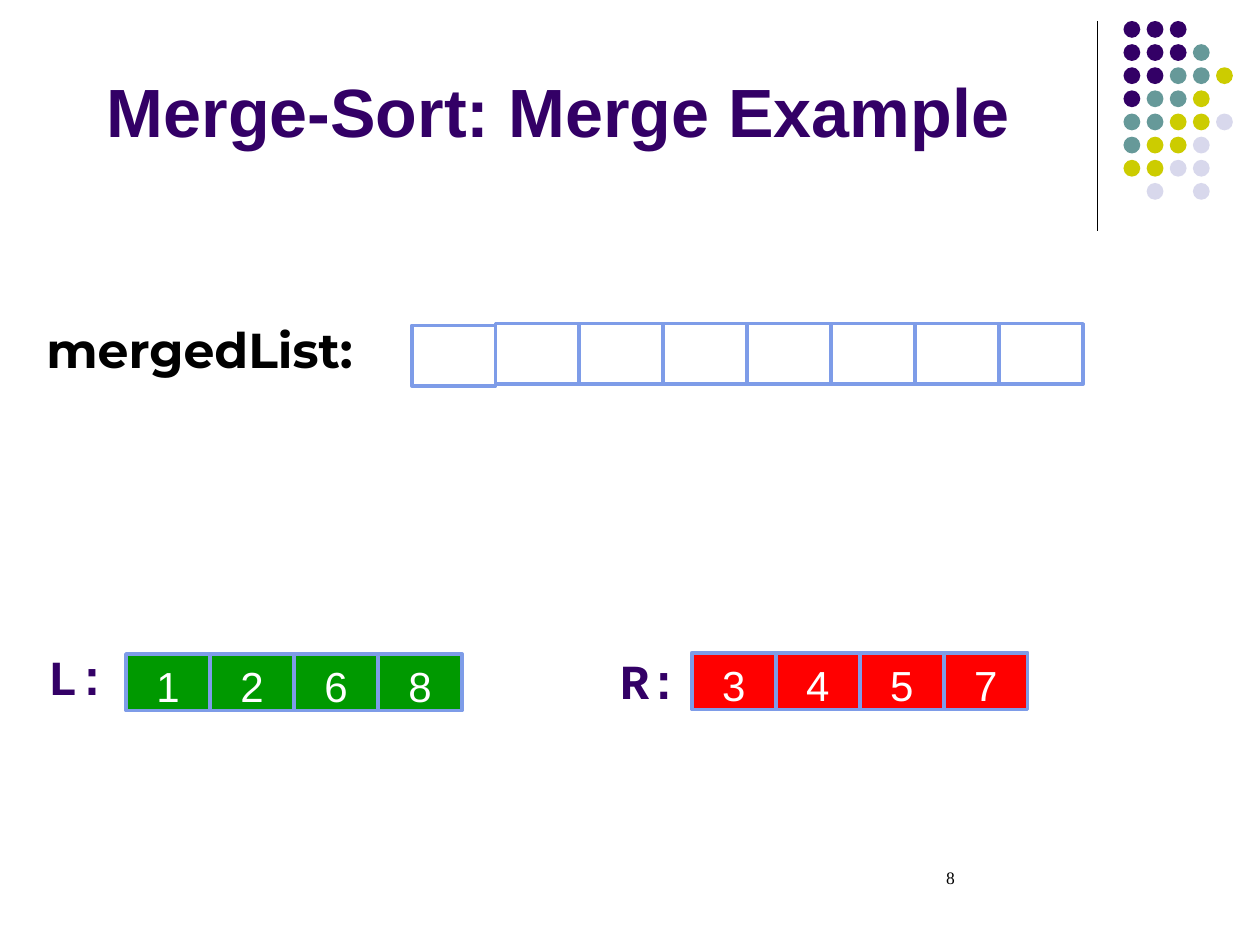
"""Build the merge-sort slide with an empty merged list and two sorted halves."""
import pptx
import pptx.util
import pptx.dml.color
import pptx.enum.shapes
import pptx.enum.text
from lxml import etree

Pt = pptx.util.Pt
SHAPE = pptx.enum.shapes.MSO_SHAPE
ANCHOR = pptx.enum.text.MSO_ANCHOR
ALIGN = pptx.enum.text.PP_ALIGN

COLOURS = {
    "purple": "330066", "teal": "669999", "olive": "CCCC00", "mist": "D8D8EC",
    "green": "009900", "red": "FF0000", "edge": "7E9CE8",
    "white": "FFFFFF", "black": "000000",
}
DOT_COLOURS = {"P": "purple", "T": "teal", "O": "olive", "M": "mist"}
DOT_ROWS = ["PPP", "PPPT", "PPTTO", "PTTO", "TTOOM", "TOOM", "OOMM", ".M.M"]
DOT_LEFT, DOT_TOP, DOT_SIZE, DOT_PITCH = 642, 12, 9.6, 13.22

CELL_WIDTH = 48
LISTS = [
    (283, 185, 34.5, "white", [""] * 7),
    (235.3, 186, 34.5, "white", [""]),
    (72, 373.7, 32.4, "green", ["1", "2", "6", "8"]),
    (395.3, 373, 32.4, "red", ["3", "4", "5", "7"]),
]
LABELS = [
    ("Merge-Sort: Merge Example", (54, 0, 612, 90),
     dict(size=39, colour="purple", bold=True, anchor=ANCHOR.BOTTOM)),
    ("mergedList:", (19.4, 179.3, 204.5, 41),
     dict(size=28, font="Montserrat", bold=True)),
    ("L:", (27.4, 365.8, 34, 41),
     dict(size=28, font="Courier New", colour="purple", bold=True, insets=(0, 3.6))),
    ("R:", (354.2, 368, 34, 41),
     dict(size=28, font="Courier New", colour="purple", bold=True, insets=(0, 3.6))),
    ("8", (516.2, 491.8, 167.8, 36),
     dict(size=10, font="Times New Roman", insets=(24.5, 3.6))),
]


def rgb(name):
    return pptx.dml.color.RGBColor.from_string(COLOURS[name])


def write(shape, text, size=24, font="Arial", colour="black", bold=False,
          align=ALIGN.LEFT, anchor=ANCHOR.TOP, insets=(7.2, 3.6)):
    frame = shape.text_frame
    frame.word_wrap = True
    frame.vertical_anchor = anchor
    frame.margin_left = frame.margin_right = Pt(insets[0])
    frame.margin_top = frame.margin_bottom = Pt(insets[1])
    paragraph = frame.paragraphs[0]
    paragraph.alignment = align
    run = paragraph.add_run()
    run.text = text
    run.font.size = Pt(size)
    run.font.name = font
    run.font.bold = bold
    run.font.color.rgb = rgb(colour)


def add_filled(shapes, preset, box, fill, edge=None):
    shape = shapes.add_shape(preset, *map(Pt, box))
    shape.shadow.inherit = False
    shape.fill.solid()
    shape.fill.fore_color.rgb = rgb(fill)
    if edge:
        shape.line.color.rgb = rgb(edge)
        shape.line.width = Pt(2)
    else:
        shape.line.fill.background()
    return shape


def add_divider(shapes):
    divider = shapes.add_connector(
        pptx.enum.shapes.MSO_CONNECTOR.STRAIGHT, Pt(627), Pt(12), Pt(627), Pt(132))
    divider.line.color.rgb = rgb("black")
    divider.line.width = Pt(0.75)
    properties = divider._element.spPr
    etree.SubElement(properties, pptx.oxml.ns.qn("a:effectLst"))


def add_dots(shapes):
    dots = shapes.add_group_shape().shapes
    for row, codes in enumerate(DOT_ROWS):
        for column, code in enumerate(codes):
            if code in DOT_COLOURS:
                box = (DOT_LEFT + column * DOT_PITCH, DOT_TOP + row * DOT_PITCH,
                       DOT_SIZE, DOT_SIZE)
                add_filled(dots, SHAPE.OVAL, box, DOT_COLOURS[code])


def add_list(shapes, left, top, height, fill, values):
    cells = shapes.add_group_shape().shapes
    for index, value in enumerate(values):
        box = (left + index * CELL_WIDTH, top, CELL_WIDTH, height)
        cell = add_filled(cells, SHAPE.RECTANGLE, box, fill, "edge")
        if value:
            write(cell, value, colour="white", align=ALIGN.CENTER,
                  anchor=ANCHOR.BOTTOM, insets=(7.2, 0))


def main():
    deck = pptx.Presentation()
    deck.slide_width, deck.slide_height = Pt(720), Pt(540)
    shapes = deck.slides.add_slide(deck.slide_layouts[6]).shapes
    add_divider(shapes)
    add_dots(shapes)
    for cells in LISTS:
        add_list(shapes, *cells)
    for text, box, style in LABELS:
        write(shapes.add_textbox(*map(Pt, box)), text, **style)
    deck.save("out.pptx")


if __name__ == "__main__":
    main()
